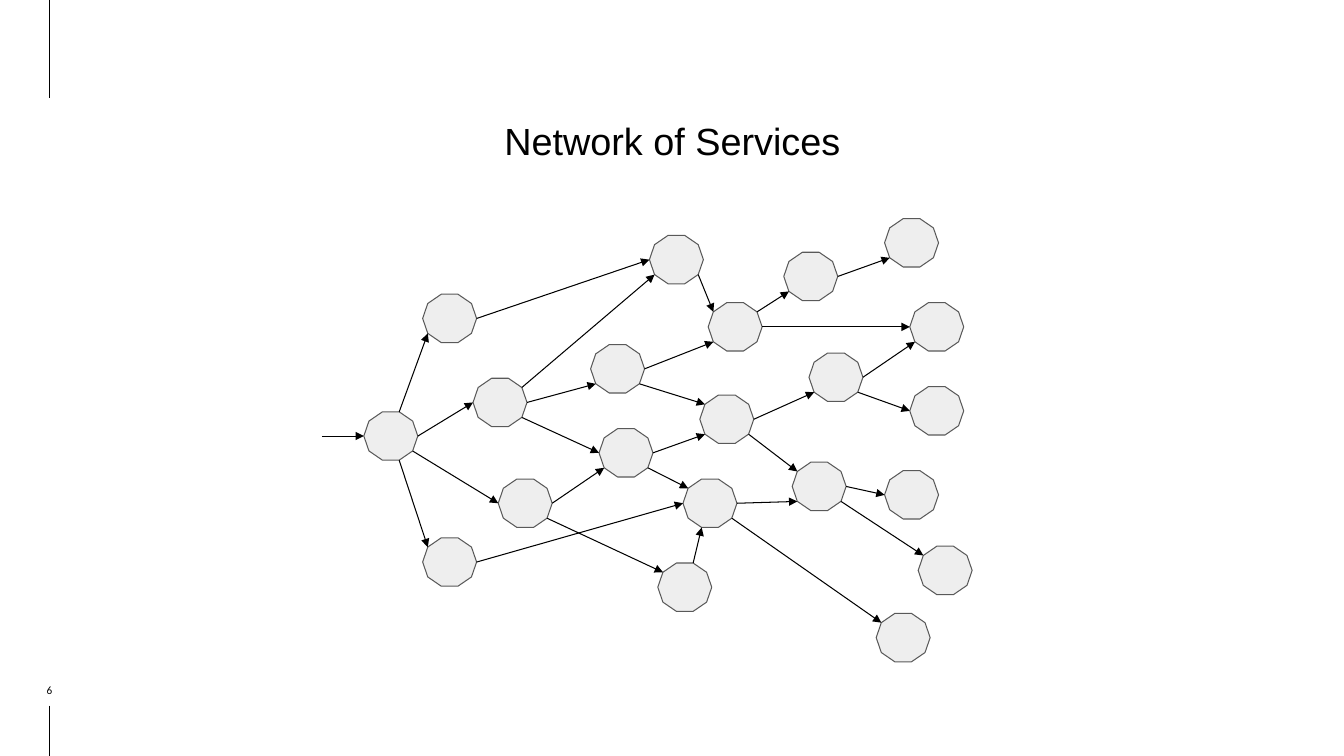
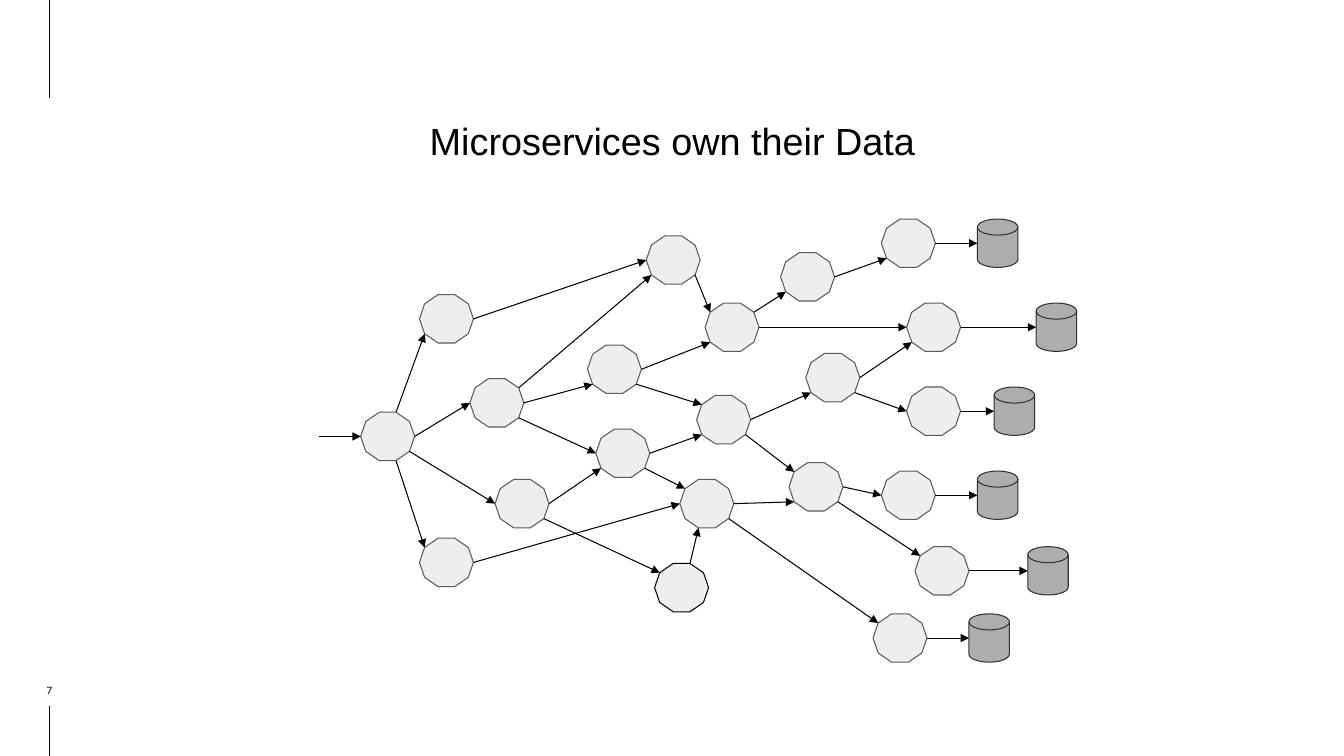
from math import cos, radians, sin

from lxml.etree import SubElement
from pptx import Presentation
from pptx.dml.color import RGBColor
from pptx.enum.shapes import MSO_CONNECTOR as Connector, MSO_SHAPE as Shape
from pptx.enum.text import MSO_ANCHOR as Anchor, PP_ALIGN as Align
from pptx.oxml.ns import qn
from pptx.util import Cm, Pt

# Shared look
BLACK = "000000"
SERVICE_FILL, SERVICE_LINE = "EEEEEE", "595959"
STORE_FILL, STORE_LINE = "ADADAD", "303030"
LINE_WIDTH = 0.75

# Diagram measures in cm; nodes sit on a grid of twelfths of an inch
STEP = 2.54 / 12
SERVICE_WIDTH, SERVICE_HEIGHT = 1.36, 1.22
STORE_WIDTH = 1.02
ENTRY_STEPS = 5

# Service: grid column and row
SERVICES = {
    "A": (0, 23), "B": (7, 9), "C": (13, 19), "D": (16, 31), "E": (7, 38),
    "F": (27, 15), "G": (28, 25), "H": (35, 41), "I": (38, 31), "J": (40, 21),
    "K": (41, 10), "L": (34, 2), "M": (53, 16), "N": (51, 29), "O": (65, 20),
    "P": (65, 10), "Q": (62, 30), "R": (66, 39), "S": (62, 0), "T": (61, 47),
    "U": (50, 4),
}

# Calls from service and corner to service and corner;
# corners count counterclockwise from the right one
CALLS = (
    "A2B6 A0C5 A9D5 A8E4 C0F6 B0L5 C1L6 C9G5 D0G6 L9K4 F0K6 K1U6 F9J4 G0J6 G9I4 "
    "E0I5 D9H4 H2I7 J0M6 J9N4 I0N6 K0P5 U0S6 M9O5 N0Q5 N9R4 I9T4 M0P6"
).split()

# Service with its own data: arrow length in grid steps
STORES = {"S": 5, "P": 9, "O": 4, "Q": 5, "R": 7, "T": 5}


def color(value):
    return RGBColor.from_string(value)


def add_line(page, start, end, arrow=False):
    line = page.shapes.add_connector(
        Connector.STRAIGHT, *(Cm(value) for value in (*start, *end)))
    line.line.color.rgb = color(BLACK)
    line.line.width = Pt(LINE_WIDTH)
    properties = line._element.spPr
    if arrow:
        SubElement(properties.find(qn("a:ln")), qn("a:tailEnd"), type="triangle")
    SubElement(properties, qn("a:effectLst"))


def add_node(page, kind, left, top, width, fill, outline):
    node = page.shapes.add_shape(
        kind, Cm(left), Cm(top), Cm(width), Cm(SERVICE_HEIGHT))
    node.shadow.inherit = False
    node.fill.solid()
    node.fill.fore_color.rgb = color(fill)
    node.line.color.rgb = color(outline)
    node.line.width = Pt(LINE_WIDTH)


def add_text(page, text, left, top, width, height, font, size, anchor, spacing=1.0):
    box = page.shapes.add_textbox(Cm(left), Cm(top), Cm(width), Cm(height))
    frame = box.text_frame
    frame.word_wrap = True
    frame.vertical_anchor = anchor
    frame.margin_left = frame.margin_right = 0
    frame.margin_top = frame.margin_bottom = 0
    para = frame.paragraphs[0]
    para.text = text
    para.alignment = Align.CENTER
    para.line_spacing = spacing
    para.font.name = font
    para.font.size = Pt(size)
    para.font.color.rgb = color(BLACK)


def add_page(deck, title, number):
    page = deck.slides.add_slide(deck.slide_layouts[6])
    # Margin rules
    for top, bottom in ((0, 2.47), (17.78, 19.05)):
        add_line(page, (1.25, top), (1.25, bottom))
    # Title and page number
    add_text(page, title, 4.88, 2.62, 24.13, 2.69, "Arial", 27, Anchor.TOP, 1.3)
    add_text(page, str(number), 0.23, 17.15, 2.03, 0.41, "Calibri", 8, Anchor.BOTTOM)
    return page


def service_corner(left, top, service, index):
    """Corner of a service decagon, in a diagram at left, top."""
    column, row = SERVICES[service]
    angle = radians(36 * index)
    x = left + column * STEP + SERVICE_WIDTH / 2 * (1 + cos(angle))
    y = top + row * STEP + SERVICE_HEIGHT / 2 * (1 - sin(angle) / sin(radians(72)))
    return x, y


def add_network(page, left, top, highlighted=""):
    # Services
    for service, (column, row) in SERVICES.items():
        outline = BLACK if service in highlighted else SERVICE_LINE
        add_node(page, Shape.DECAGON, left + column * STEP, top + row * STEP,
                 SERVICE_WIDTH, SERVICE_FILL, outline)
    # Incoming request
    x, y = service_corner(left, top, "A", 5)
    add_line(page, (x - ENTRY_STEPS * STEP, y), (x, y), arrow=True)
    # Calls between services
    for caller, exit_corner, callee, entry_corner in CALLS:
        add_line(page, service_corner(left, top, caller, int(exit_corner)),
                 service_corner(left, top, callee, int(entry_corner)), arrow=True)


def add_stores(page, left, top):
    for service, steps in STORES.items():
        x, y = service_corner(left, top, service, 0)
        store_left = x + steps * STEP
        add_node(page, Shape.FLOWCHART_MAGNETIC_DISK, store_left,
                 y - SERVICE_HEIGHT / 2, STORE_WIDTH, STORE_FILL, STORE_LINE)
        add_line(page, (x, y), (store_left, y), arrow=True)


def main():
    deck = Presentation()
    deck.slide_width, deck.slide_height = Cm(33.87), Cm(19.05)

    page = add_page(deck, "Network of Services", 6)
    add_network(page, 9.17, 5.51)

    page = add_page(deck, "Microservices own their Data", 7)
    add_network(page, 9.09, 5.52, highlighted="H")
    add_stores(page, 9.09, 5.52)

    deck.save("out.pptx")


if __name__ == "__main__":
    main()
